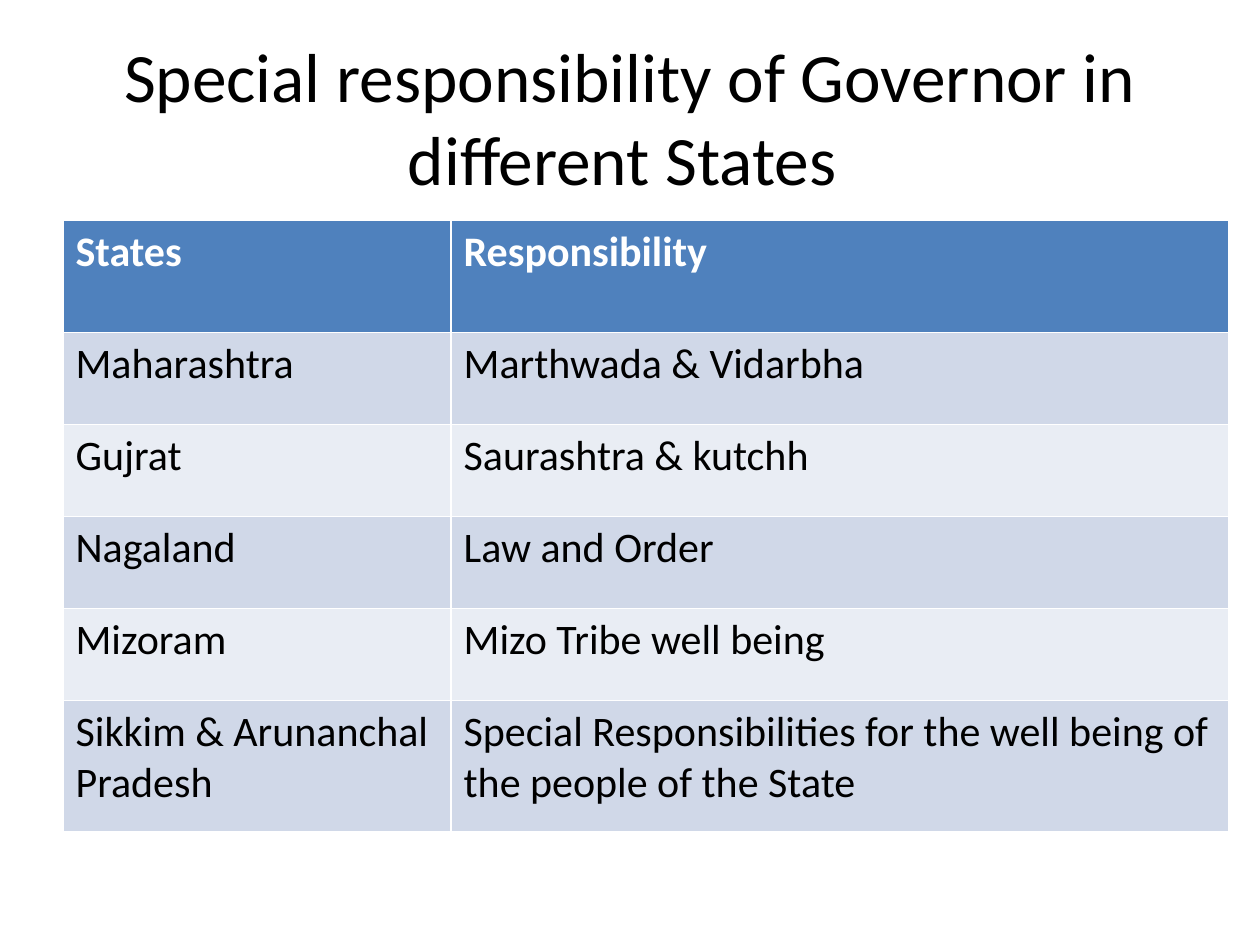
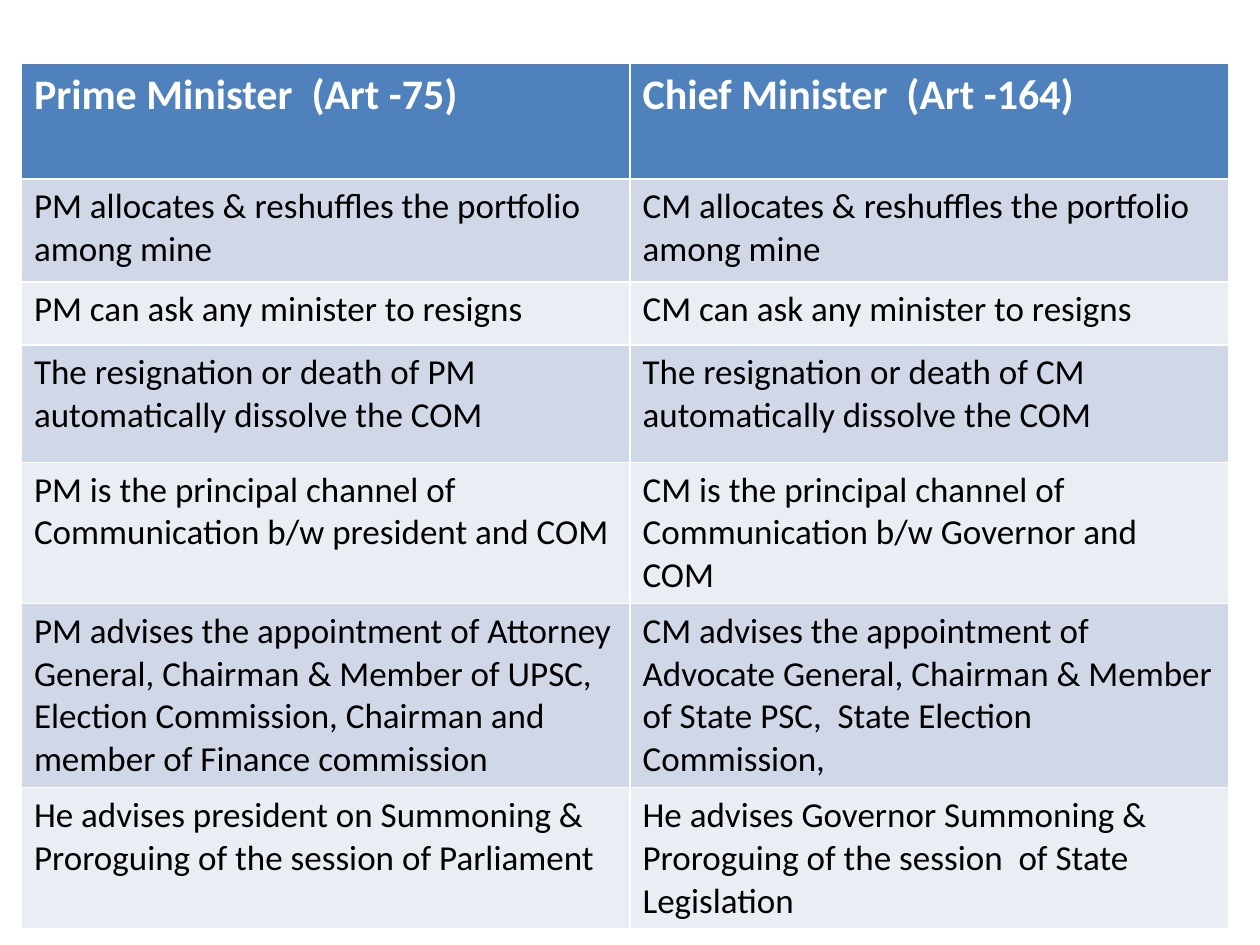
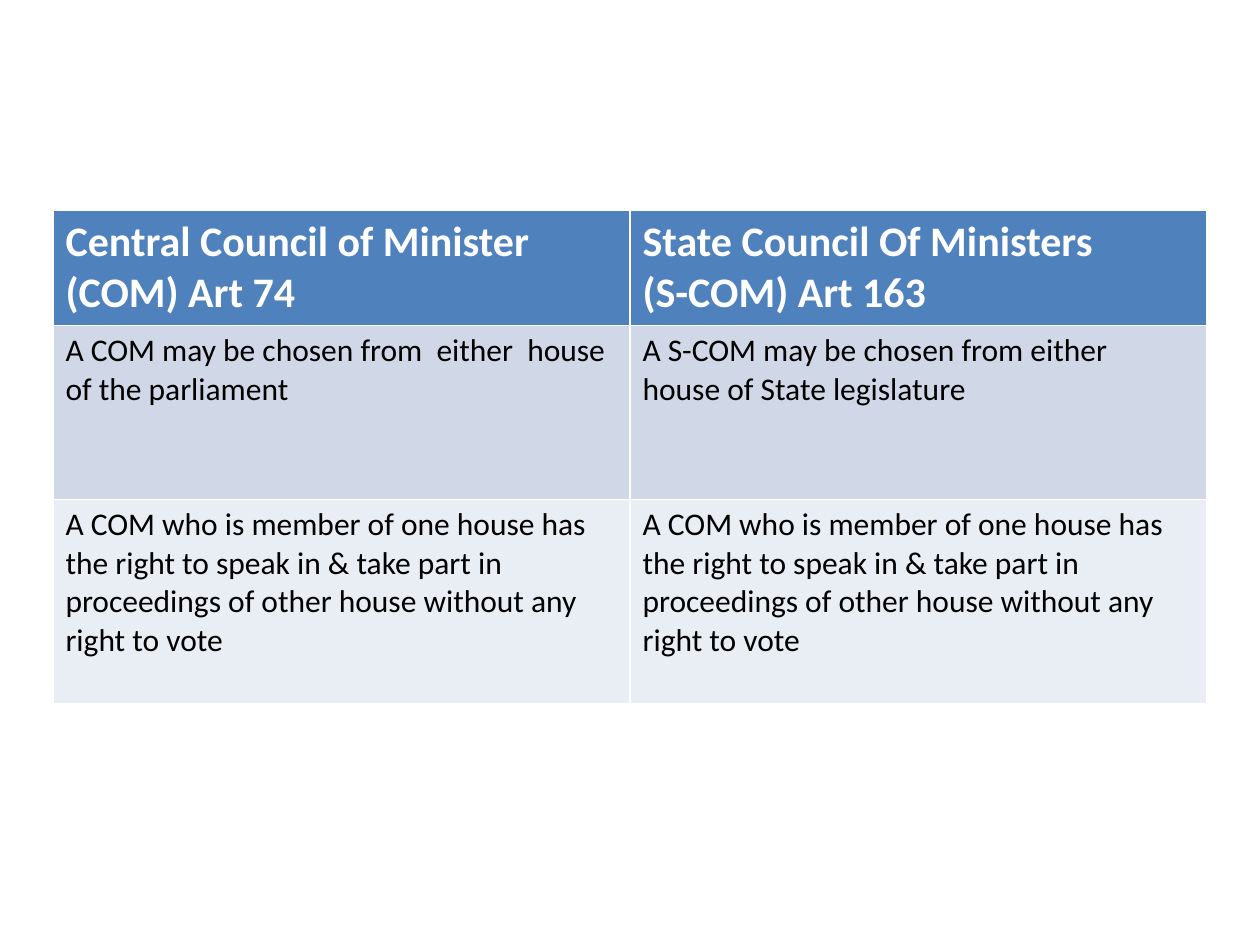
from dataclasses import dataclass

from pptx import Presentation
from pptx.dml.color import RGBColor
from pptx.enum.text import MSO_ANCHOR, MSO_AUTO_SIZE, PP_ALIGN
from pptx.util import Inches, Pt

CENTER = PP_ALIGN.CENTER
MIDDLE = MSO_ANCHOR.MIDDLE
NO_AUTOFIT = MSO_AUTO_SIZE.NONE
TITLE_ONLY, BLANK = 5, 6


@dataclass(frozen=True)
class Theme:
    font: str = "Calibri"
    text: RGBColor = RGBColor(0x00, 0x00, 0x00)
    header_text: RGBColor = RGBColor(0xFF, 0xFF, 0xFF)
    header_fill: RGBColor = RGBColor(0x4F, 0x81, 0xBD)
    bands: tuple = (RGBColor(0xD0, 0xD8, 0xE8), RGBColor(0xE9, 0xED, 0xF4))
    title_size: float = 39.6
    header_size: int = 24


THEME = Theme()


def style_paragraph(paragraph, size, color, bold=False):
    font = paragraph.font
    font.name, font.size, font.bold = THEME.font, Pt(size), bold
    font.color.rgb = color


def add_banded_table(slide, left, top, column_widths, row_heights, rows, body_size):
    """Add a table with a header row and alternating body fills; lengths in inches."""
    table = slide.shapes.add_table(
        len(rows), len(column_widths), Inches(left), Inches(top),
        Inches(sum(column_widths)), Inches(sum(row_heights))).table
    for column, width in zip(table.columns, column_widths):
        column.width = Inches(width)
    for index, (row, height, texts) in enumerate(zip(table.rows, row_heights, rows)):
        row.height = Inches(height)
        is_header = index == 0
        fill = THEME.header_fill if is_header else THEME.bands[(index - 1) % 2]
        size = THEME.header_size if is_header else body_size
        color = THEME.header_text if is_header else THEME.text
        for cell, text in zip(row.cells, texts):
            cell.fill.solid()
            cell.fill.fore_color.rgb = fill
            cell.text = text
            for paragraph in cell.text_frame.paragraphs:
                style_paragraph(paragraph, size, color, is_header)


presentation = Presentation()
presentation.slide_width = Inches(10)
presentation.slide_height = Inches(7.5)

# Governor's responsibilities
slide = presentation.slides.add_slide(presentation.slide_layouts[TITLE_ONLY])
title = slide.shapes.title
title.left, title.top = Inches(0.5), Inches(0.3)
title.width, title.height = Inches(9), Inches(1.25)
title.text_frame.text = "Special responsibility of Governor in different States "
title.text_frame.auto_size = NO_AUTOFIT
title.text_frame.vertical_anchor = MIDDLE
title_paragraph = title.text_frame.paragraphs[0]
title_paragraph.alignment = CENTER
style_paragraph(title_paragraph, THEME.title_size, THEME.text)

state_rows = [
    ("States", "Responsibility"),
    ("Maharashtra", "Marthwada & Vidarbha"),
    ("Gujrat", "Saurashtra & kutchh"),
    ("Nagaland", "Law and Order"),
    ("Mizoram", "Mizo Tribe well being"),
    ("Sikkim & Arunanchal Pradesh",
     "Special Responsibilities for the well being of the people of the State"),
]
add_banded_table(slide, 0.5, 1.75, [3.08, 6.17], [0.89] + [0.73] * 4 + [1.04],
                 state_rows, body_size=24)

# Prime Minister and Chief Minister
slide = presentation.slides.add_slide(presentation.slide_layouts[BLANK])
minister_rows = [
    ("Prime Minister  (Art -75)", "Chief Minister  (Art -164)"),
    ("PM allocates & reshuffles the portfolio among mine",
     "CM allocates & reshuffles the portfolio among mine"),
    ("PM can ask any minister to resigns", "CM can ask any minister to resigns"),
    ("The resignation or death of PM automatically dissolve the COM",
     "The resignation or death of CM automatically dissolve the COM"),
    ("PM is the principal channel of Communication b/w president and COM",
     "CM is the principal channel of Communication b/w Governor and COM"),
    ("PM advises the appointment of Attorney General, Chairman & Member of UPSC, "
     "Election Commission, Chairman and member of Finance commission",
     "CM advises the appointment of Advocate General, Chairman & Member of State PSC,  "
     "State Election Commission,"),
    ("He advises president on Summoning & Proroguing of the session of Parliament",
     "He advises Governor Summoning & Proroguing of the session  of State Legislation"),
]
add_banded_table(slide, 0.17, 0.5, [4.83, 4.75],
                 [0.92, 0.82, 0.5, 0.93, 1.12, 1.46, 1.12],
                 minister_rows, body_size=20)

# Central and State councils
slide = presentation.slides.add_slide(presentation.slide_layouts[BLANK])
right_to_speak = ("A COM who is member of one house has the right to speak in & take part in "
                  "proceedings of other house without any right to vote")
council_rows = [
    ("Central Council of Minister (COM) Art 74",
     "State Council Of Ministers\n(S-COM) Art 163"),
    ("A COM may be chosen from  either  house of the parliament",
     "A S-COM may be chosen from either  house of State legislature"),
    (right_to_speak, right_to_speak),
]
add_banded_table(slide, 0.42, 1.67, [4.58, 4.58], [0.9, 1.38, 1.62],
                 council_rows, body_size=18)

presentation.save("out.pptx")
